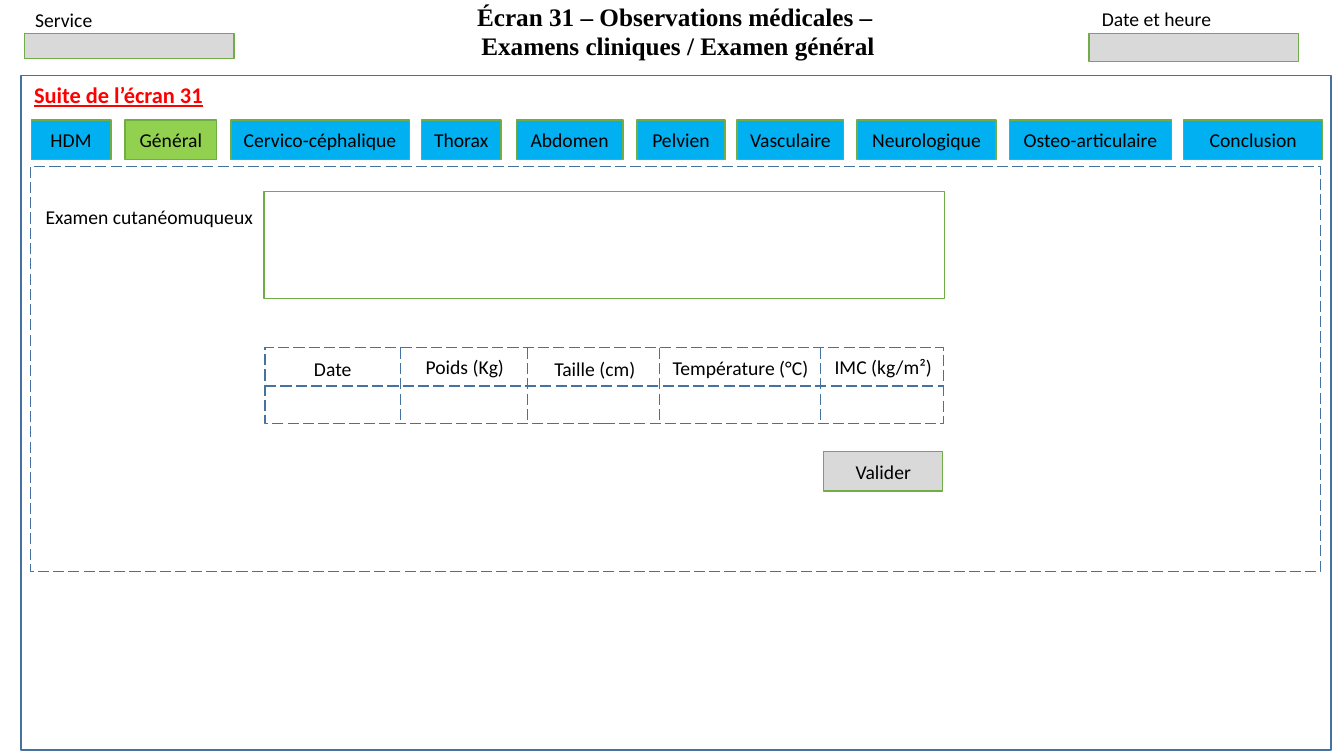
from lxml.etree import SubElement
from pptx import Presentation
from pptx.dml.color import RGBColor
from pptx.enum.dml import MSO_LINE
from pptx.enum.shapes import MSO_CONNECTOR, MSO_SHAPE
from pptx.enum.text import MSO_ANCHOR, MSO_AUTO_SIZE, PP_ALIGN
from pptx.oxml.ns import qn
from pptx.util import Emu, Pt

PX = 9144  # 100 px to the inch
BLACK, RED, BLUE_LINE, GREEN_LINE = "000000", "FF0000", "43739E", "70AD47"
GREY, TAB_BLUE, TAB_GREEN = "D9D9D9", "00B0F0", "92D050"

deck = Presentation()
deck.slide_width, deck.slide_height = Emu(1333 * PX), Emu(750 * PX)
slide = deck.slides.add_slide(deck.slide_layouts[5])


def add_box(left, top, width, height, line=None, fill=None, dashed=False):
    box = slide.shapes.add_shape(
        MSO_SHAPE.RECTANGLE, *(Emu(n * PX) for n in (left, top, width, height)))
    box.shadow.inherit = False
    if fill:
        box.fill.solid()
        box.fill.fore_color.rgb = RGBColor.from_string(fill)
    else:
        box.fill.background()
    box.line.color.rgb = RGBColor.from_string(line)
    box.line.width = Pt(1)
    if dashed:
        box.line.dash_style = MSO_LINE.LONG_DASH
    return box


def write(shape, text, align=PP_ALIGN.CENTER, anchor=MSO_ANCHOR.MIDDLE,
          size=14, font="Calibri", color=BLACK, bold=False, underline=False,
          spacing=1.0, wrap=True):
    frame = shape.text_frame
    frame.text = text
    frame.word_wrap = wrap
    frame.auto_size = MSO_AUTO_SIZE.NONE
    frame.vertical_anchor = anchor
    for para in frame.paragraphs:
        para.alignment = align
        para.line_spacing = spacing
        for span in para.runs:
            span.font.name = font
            span.font.size = Pt(size)
            span.font.bold = bold
            span.font.underline = underline
            span.font.color.rgb = RGBColor.from_string(color)


# Title
title = slide.shapes.title
title.left, title.top = Emu(345 * PX), Emu(7 * PX)
title.width, title.height = Emu(655 * PX), Emu(59 * PX)
write(title, "Écran 31 – Observations médicales – \nExamens cliniques / Examen général",
      anchor=MSO_ANCHOR.BOTTOM, size=18, font="Times New Roman", bold=True, spacing=0.95)

# Screen frame and header fields
add_box(21, 75, 1299, 669, BLUE_LINE)
add_box(24, 33, 208, 25, GREEN_LINE, GREY)
add_box(1080, 33, 208, 28, GREEN_LINE, GREY)

# Tabs
tabs = [("HDM", 31, 79), ("Général", 124, 91), ("Cervico-céphalique", 229, 177),
        ("Thorax", 418, 79), ("Abdomen", 512, 106), ("Pelvien", 632, 87),
        ("Vasculaire", 731, 106), ("Neurologique", 850, 138),
        ("Osteo-articulaire", 1001, 161), ("Conclusion", 1174, 138)]
for name, left, width in tabs:
    fill = TAB_GREEN if name == "Général" else TAB_BLUE
    write(add_box(left, 119, width, 39, GREEN_LINE, fill), name)

# Examination panel with its entry field
add_box(30, 165, 1280, 402, BLUE_LINE, dashed=True)
add_box(262, 190, 675, 106, GREEN_LINE)

# Measurement grid
add_box(263, 345, 673, 75, BLUE_LINE, dashed=True)
grid_lines = [(x, 345, x, 420) for x in (397, 523, 654, 814)] + [(263, 383, 936, 383)]
for ends in grid_lines:
    rule = slide.shapes.add_connector(MSO_CONNECTOR.STRAIGHT, *(Emu(n * PX) for n in ends))
    rule.line.color.rgb = RGBColor.from_string(BLUE_LINE)
    rule.line.width = Pt(1)
    rule.line.dash_style = MSO_LINE.LONG_DASH
    SubElement(rule._element.spPr, qn("a:effectLst"))

write(add_box(817, 448, 118, 39, GREEN_LINE, GREY), "Valider")

# Labels
field = dict(align=PP_ALIGN.LEFT, anchor=MSO_ANCHOR.TOP)
heading = dict(spacing=0.95)
labels = [
    ("Service", 25, 3, 140, 34, field),
    ("Date et heure", 1083, 2, 130, 34, dict(field, wrap=False)),
    ("Examen cutanéomuqueux", 33, 198, 228, 34, dict(field, align=PP_ALIGN.RIGHT)),
    ("Date", 271, 351, 118, 31, heading),
    ("Poids (Kg)", 402, 349, 118, 31, heading),
    ("Taille (cm)", 531, 351, 118, 31, heading),
    ("Température (°C)", 656, 350, 157, 31, heading),
    ("IMC (kg/m²)", 817, 349, 118, 31, heading),
    ("Suite de l’écran 31", 24, 78, 197, 35,
     dict(heading, align=PP_ALIGN.LEFT, size=16, color=RED, bold=True, underline=True)),
]
for text, left, top, width, height, style in labels:
    label = slide.shapes.add_textbox(*(Emu(n * PX) for n in (left, top, width, height)))
    write(label, text, **style)

deck.save("out.pptx")
